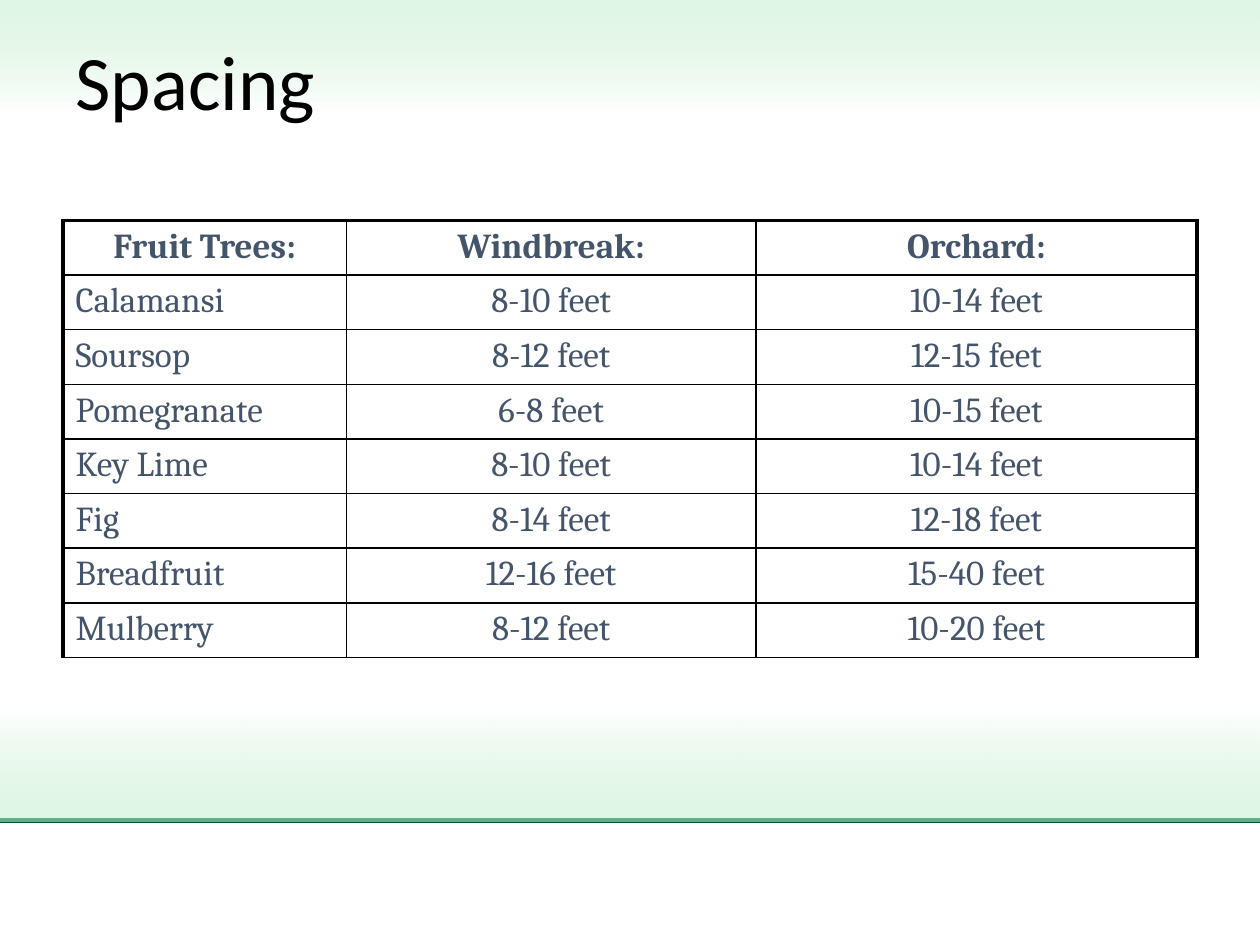
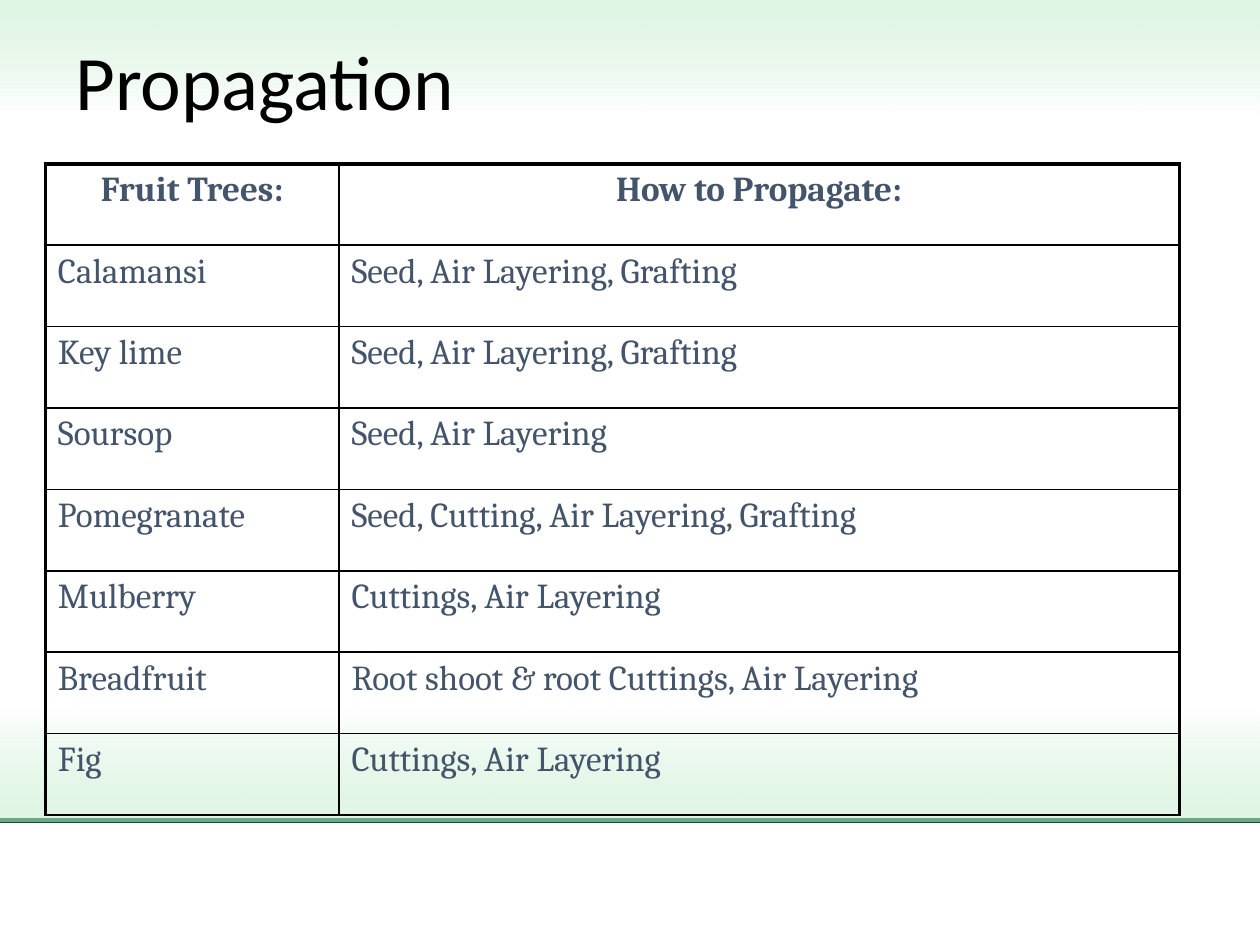
from lxml.etree import SubElement
from pptx import Presentation
from pptx.dml.color import RGBColor
from pptx.enum.shapes import MSO_CONNECTOR as Connector, MSO_SHAPE as Preset
from pptx.enum.text import MSO_ANCHOR as Anchor, MSO_AUTO_SIZE as AutoSize, PP_ALIGN as Align
from pptx.oxml.ns import qn
from pptx.util import Inches, Pt

BLACK, WHITE = "000000", "FFFFFF"
SLATE, MINT, FOREST = "44546A", "C7EFD0", "00542D"
SLIDE_WIDTH, SLIDE_HEIGHT = 10, 7.5
BAND_HEIGHT, BAND_OPACITY = 0.9, 54
LINE_TOP = 6.51
OUTER_BORDER, INNER_BORDER = 2.25, 1

SLIDES = [
    {
        "title": "Spacing",
        "title_height": 1.25,
        "table_place": (0.5, 1.75, 3.47),
        "column_widths": (2.25, 3.25, 3.5),
        "column_aligns": (Align.LEFT, Align.CENTER, Align.CENTER),
        "rows": [
            ("Fruit Trees:", "Windbreak:", "Orchard:"),
            ("Calamansi", "8-10 feet", "10-14 feet"),
            ("Soursop", "8-12 feet", "12-15 feet"),
            ("Pomegranate", "6-8 feet", "10-15 feet"),
            ("Key Lime", "8-10 feet", "10-14 feet"),
            ("Fig", "8-14 feet", "12-18 feet"),
            ("Breadfruit", "12-16 feet", "15-40 feet"),
            ("Mulberry", "8-12 feet", "10-20 feet"),
        ],
    },
    {
        "title": "Propagation",
        "title_height": 0.95,
        "table_place": (0.36, 1.3, 5.17),
        "column_widths": (2.33, 6.67),
        "column_aligns": (Align.LEFT, Align.LEFT),
        "rows": [
            ("Fruit Trees:", "How to Propagate:"),
            ("Calamansi", "Seed, Air Layering, Grafting"),
            ("Key lime", "Seed, Air Layering, Grafting"),
            ("Soursop", "Seed, Air Layering"),
            ("Pomegranate", "Seed, Cutting, Air Layering, Grafting"),
            ("Mulberry", "Cuttings, Air Layering"),
            ("Breadfruit", "Root shoot & root Cuttings, Air Layering"),
            ("Fig", "Cuttings, Air Layering"),
        ],
    },
]


def rgb(hex_colour):
    return RGBColor.from_string(hex_colour)


def write_text(text_frame, text, *, font, size, colour, bold=False,
               align=Align.LEFT, line_spacing=None):
    paragraph = text_frame.paragraphs[0]
    paragraph.alignment = align
    paragraph.line_spacing = line_spacing
    run = paragraph.add_run()
    run.text = text
    run.font.name = font
    run.font.size = Pt(size)
    run.font.bold = bold
    run.font.color.rgb = rgb(colour)


def add_ground_line(slide):
    line = slide.shapes.add_connector(
        Connector.STRAIGHT, Inches(-0.16), Inches(LINE_TOP),
        Inches(SLIDE_WIDTH + 0.16), Inches(LINE_TOP))
    line.line.color.rgb = rgb(FOREST)
    line.line.width = Pt(3)
    SubElement(line._element.spPr, qn("a:effectLst"))
    return line


def add_band(slide, top, rotation):
    """Add a full-width band that fades from mint to white."""
    band = slide.shapes.add_shape(
        Preset.RECTANGLE, 0, Inches(top), Inches(SLIDE_WIDTH), Inches(BAND_HEIGHT))
    band.rotation = rotation
    band.shadow.inherit = False
    band.line.fill.background()
    band.fill.gradient()
    band.fill.gradient_angle = 270
    for stop, colour in zip(band.fill.gradient_stops, (MINT, WHITE)):
        stop.color.rgb = rgb(colour)
    mint = band._element.spPr.find(".//" + qn("a:srgbClr"))
    SubElement(mint, qn("a:alpha"), val=str(BAND_OPACITY * 1000))
    return band


def move_to_layout(shapes, layout):
    """Place the shapes behind everything else on the layout."""
    for index, shape in enumerate(shapes, start=2):
        layout.shapes._spTree.insert(index, shape._element)


def set_title(slide, text, height):
    title = slide.shapes.title
    title.left, title.top = Inches(0.5), Inches(0.3)
    title.width, title.height = Inches(9), Inches(height)
    text_frame = title.text_frame
    text_frame.vertical_anchor = Anchor.TOP
    text_frame.auto_size = AutoSize.NONE
    write_text(text_frame, text, font="Calibri", size=44, colour=BLACK, line_spacing=0.9)


def set_borders(cell, outer_sides):
    properties = cell._tc.get_or_add_tcPr()
    for side in "LRTB":
        width = OUTER_BORDER if side in outer_sides else INNER_BORDER
        line = SubElement(properties, qn(f"a:ln{side}"), w=str(Pt(width)))
        fill = SubElement(line, qn("a:solidFill"))
        SubElement(fill, qn("a:srgbClr"), val=BLACK)


def add_tree_table(slide, rows, place, column_widths, column_aligns):
    left, top, height = map(Inches, place)
    last_column = len(column_widths) - 1
    table = slide.shapes.add_table(
        len(rows), len(column_widths), left, top,
        Inches(sum(column_widths)), height).table
    table.first_row = table.horz_banding = False
    for column, width in zip(table.columns, column_widths):
        column.width = Inches(width)

    for row_index, texts in enumerate(rows):
        table.rows[row_index].height = height // len(rows)
        is_header = row_index == 0
        for column_index, text in enumerate(texts):
            cell = table.cell(row_index, column_index)
            outer_sides = (("T" if is_header else "")
                           + ("L" if column_index == 0 else "")
                           + ("R" if column_index == last_column else ""))
            set_borders(cell, outer_sides)
            cell.fill.background()
            align = Align.CENTER if is_header else column_aligns[column_index]
            write_text(cell.text_frame, text, font="Cambria", size=20,
                       colour=SLATE, bold=is_header, align=align)


def main():
    presentation = Presentation()
    presentation.slide_width = Inches(SLIDE_WIDTH)
    presentation.slide_height = Inches(SLIDE_HEIGHT)
    layout = presentation.slide_layouts.get_by_name("Title Only")

    for number, content in enumerate(SLIDES):
        slide = presentation.slides.add_slide(layout)
        if number == 0:
            backdrop = [add_ground_line(slide), add_band(slide, 0, 0),
                        add_band(slide, 5.62, 180)]
            move_to_layout(backdrop, layout)
        set_title(slide, content["title"], content["title_height"])
        add_tree_table(slide, content["rows"], content["table_place"],
                       content["column_widths"], content["column_aligns"])

    presentation.save("out.pptx")


if __name__ == "__main__":
    main()
